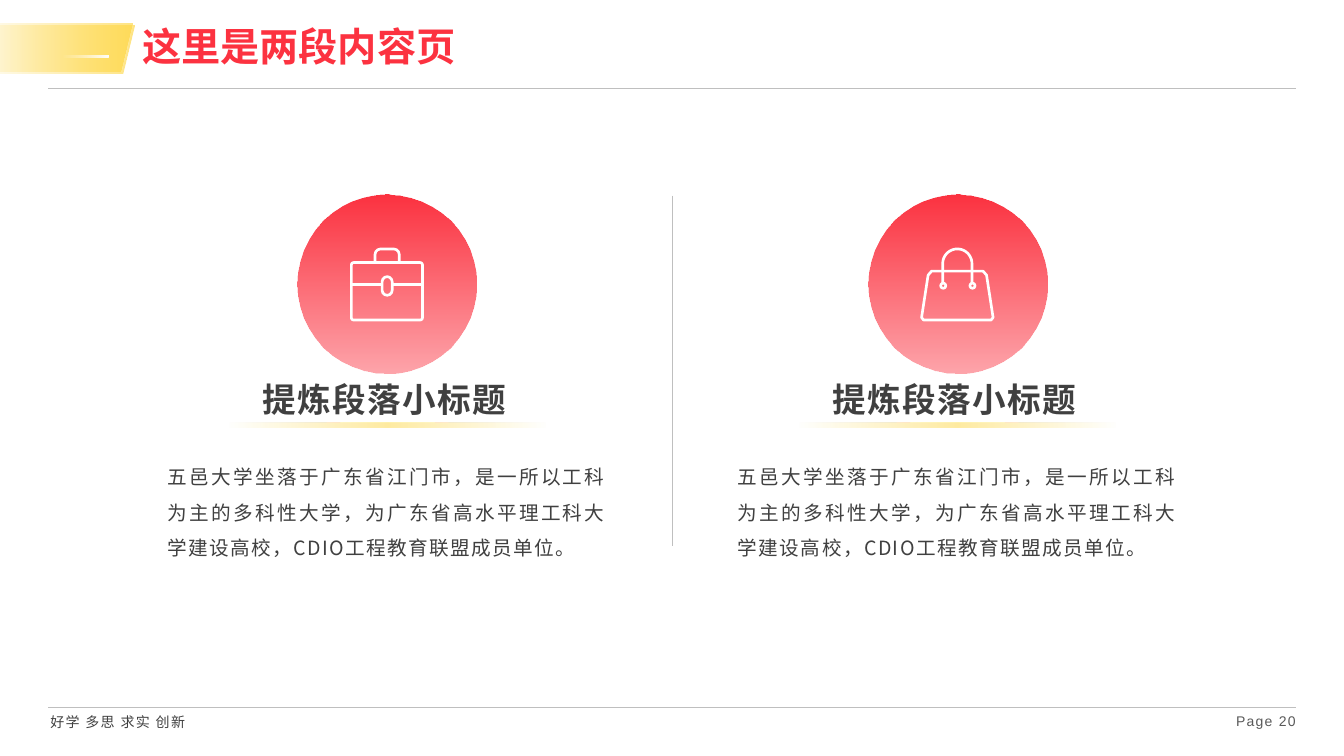
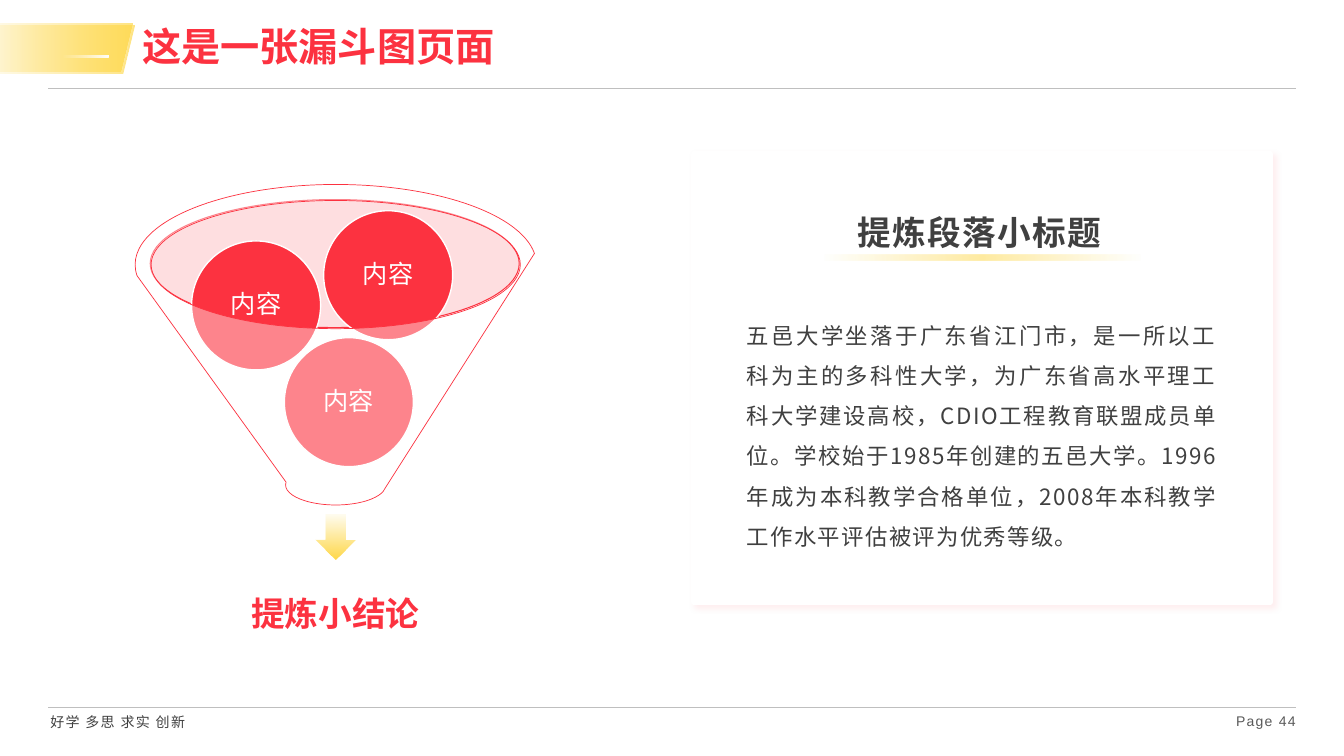
import math
from pptx import Presentation
from pptx import util as u
from pptx.dml.color import RGBColor
from pptx.enum import shapes, text
from pptx.oxml import parse_xml
from pptx.oxml.ns import nsdecls, qn

RED = RGBColor(0xFC, 0x32, 0x40)
PINK = RGBColor(0xFE, 0xAD, 0xB3)
BLUSH = RGBColor(0xFE, 0xD6, 0xD9)
YELLOW = RGBColor(0xFF, 0xD8, 0x47)
WHITE = RGBColor(0xFF, 0xFF, 0xFF)
DARK = RGBColor(0x40, 0x40, 0x40)
GREY = RGBColor(0x59, 0x59, 0x59)
RULE = RGBColor(0xBF, 0xBF, 0xBF)
CJK = "Noto Sans CJK SC"
KIND = shapes.MSO_SHAPE
ALIGN = text.PP_ALIGN

prs = Presentation()
prs.slide_width, prs.slide_height = u.Inches(13.33), u.Inches(7.5)
COLUMNS = 133.3
CELL = prs.slide_width / COLUMNS
STROKE = 1.9


def add(s, kind, box, stops=(), angle=0, line=None, width=1, adjust=None):
    box = [u.Emu(round(v * CELL)) for v in box]
    if kind is None:
        return s.shapes.add_textbox(*box)
    sp = s.shapes.add_shape(kind, *box)
    sp.shadow.inherit = False
    if adjust is not None:
        sp.adjustments[0] = adjust
    sp.fill.background()
    if stops:
        colors = [f'<a:srgbClr val="{c}"><a:alpha val="{a * 1000}"/></a:srgbClr>'
                  for _, c, a in stops]
        if len(stops) == 1:
            xml = f'<a:solidFill {nsdecls("a")}>{colors[0]}</a:solidFill>'
        else:
            gs = "".join(f'<a:gs pos="{stop[0] * 1000}">{c}</a:gs>'
                         for stop, c in zip(stops, colors))
            xml = (f'<a:gradFill {nsdecls("a")} rotWithShape="1"><a:gsLst>{gs}</a:gsLst>'
                   f'<a:lin ang="{angle * 60000}" scaled="0"/></a:gradFill>')
        spPr = sp._element.spPr
        spPr.replace(spPr.find(qn("a:noFill")), parse_xml(xml))
    if line is None:
        sp.line.fill.background()
    else:
        sp.line.color.rgb = line
        sp.line.width = u.Pt(width)
    return sp


def write(sp, words, size=14, color=DARK, font=CJK, bold=False, align=ALIGN.JUSTIFY,
          spacing=1, after=0, tracking=0, inset=None, anchor=text.MSO_ANCHOR.TOP):
    tf = sp.text_frame
    tf.word_wrap = True
    tf.vertical_anchor = anchor
    if inset is not None:
        tf.margin_left, tf.margin_top, tf.margin_right, tf.margin_bottom = map(u.Inches, inset)
    p = tf.paragraphs[0]
    p.alignment = align
    p.line_spacing = spacing
    p.space_after = u.Pt(after)
    r = p.add_run()
    r.text = words
    r.font.size, r.font.bold, r.font.name = u.Pt(size), bold, font
    r.font.color.rgb = color
    rPr = r._r.get_or_add_rPr()
    rPr.append(parse_xml(f'<a:ea {nsdecls("a")} typeface="{CJK}"/>'))
    if tracking:
        rPr.set("spc", str(round(tracking * 100)))


MIDDLE = text.MSO_ANCHOR.MIDDLE
layout = prs.slide_layouts[5]
pages = []
for title, number in (("这里是两段内容页", 20), ("这是一张漏斗图页面", 44)):
    s = prs.slides.add_slide(layout)
    sp = s.shapes.title
    sp.left, sp.top, sp.width, sp.height = [u.Emu(round(v * CELL)) for v in (13.1, 2.4, 89.9, 4.8)]
    write(sp, title, size=28, color=RED, bold=True, align=ALIGN.LEFT, spacing=0.9, anchor=MIDDLE)
    write(add(s, None, (118.5, 70.2, 10, 3.2)), f"Page {number}", size=10, color=GREY,
          font="Arial", align=ALIGN.RIGHT, tracking=0.9, inset=(0.1, 0.05, 0, 0.05))
    pages.append(s)
columns_page, funnel_page = pages

shared = []
for box, color, alpha in (((-3.4, 2.5, 16.7, 4.8), YELLOW, 68),
                          ((-3.6, 2.3, 16.7, 4.8), YELLOW, 68),
                          ((6.2, 5.5, 4.6, 0.2), WHITE, 100)):
    shared.append(add(columns_page, KIND.PARALLELOGRAM, box, [(0, color, 0), (100, color, alpha)]))
sp = add(columns_page, None, (4, 70.3, 21.5, 2.7))
write(sp, "好学 多思 求实 创新", size=10, font="Arial", tracking=1)
shared.append(sp)

for x in (29.5, 86.1):
    add(columns_page, KIND.OVAL, (x, 19.3, 17.8, 17.8), [(0, RED, 100), (100, RED, 44)], 90)

for x1, y1, x2, y2, color, width in ((4.8, 8.8, 128.5, 8.8, RULE, 0.5),
                                     (4.8, 70.2, 128.5, 70.2, RULE, 0.5),
                                     (66.7, 19.4, 66.7, 54.2, RULE, 0.75),
                                     (34.85, 28.25, 37.9, 28.25, WHITE, STROKE),
                                     (38.9, 28.25, 41.9, 28.25, WHITE, STROKE)):
    ends = [u.Emu(round(v * CELL)) for v in (x1, y1, x2, y2)]
    cn = columns_page.shapes.add_connector(shapes.MSO_CONNECTOR.STRAIGHT, *ends)
    cn.line.color.rgb = color
    cn.line.width = u.Pt(width)
    cn._element.spPr.append(parse_xml(f'<a:effectLst {nsdecls("a")}/>'))
    if x1 == 4.8:
        shared.append(cn)
for sp in shared:
    layout.shapes._spTree.append(sp._element)

for kind, box, adjust in ((KIND.ROUNDED_RECTANGLE, (34.85, 26.05, 7.05, 5.7), 0.04),
                          (KIND.ROUND_2_SAME_RECTANGLE, (37.2, 24.7, 2.4, 1.35), 0.4),
                          (KIND.ROUNDED_RECTANGLE, (37.9, 27.45, 1, 1.85), 0.5),
                          (KIND.OVAL, (93.3, 28.1, 0.5, 0.5), None),
                          (KIND.OVAL, (96.2, 28.1, 0.5, 0.5), None)):
    add(columns_page, kind, box, line=WHITE, width=STROKE, adjust=adjust)

bag = [(92.4, 26.9), (97.5, 26.9), (97.85, 27.3), (98.5, 31.5), (98.3, 31.75),
       (91.6, 31.75), (91.4, 31.5), (92.05, 27.3)]
arch = [(94.95 - 1.45 * math.cos(math.pi * i / 24), 26.15 - 1.45 * math.sin(math.pi * i / 24))
        for i in range(25)]
handle = [(93.5, 28.1)] + arch + [(96.4, 28.1)]
for points, close in ((bag, True), (handle, False)):
    points = [(x * CELL, y * CELL) for x, y in points]
    fb = columns_page.shapes.build_freeform(*points[0], scale=1.0)
    fb.add_line_segments(points[1:], close=close)
    sp = fb.convert_to_shape()
    sp.shadow.inherit = False
    sp.fill.background()
    sp.line.color.rgb = WHITE
    sp.line.width = u.Pt(STROKE)

s = funnel_page
add(s, KIND.OVAL, (14.9, 19.8, 36.6, 12.7), [(0, PINK, 40)], line=RED, width=0.75)
add(s, KIND.DOWN_ARROW, (31.3, 51, 4, 4.5), [(0, YELLOW, 8), (100, YELLOW, 100)], 90)
write(add(s, None, (16.2, 56.8, 34.1, 8.5)), "提炼小结论", size=24, color=RED, bold=True,
      align=ALIGN.CENTER, spacing=0.9, after=8.4, inset=(0.19,) * 4, anchor=MIDDLE)
for x, y in ((28.2, 33.5), (19, 23.9), (32.1, 20.9)):
    sp = add(s, KIND.OVAL, (x, y, 12.8, 12.8), [(0, RED, 100)], line=WHITE)
    write(sp, "内容", size=18, color=WHITE, align=ALIGN.CENTER, spacing=0.9, after=6.3,
          inset=(0.03,) * 4, anchor=MIDDLE)
add(s, KIND.FUNNEL, (13.4, 18.3, 39.8, 31.8), [(0, WHITE, 40)], line=RED, width=0.5)
card = add(s, KIND.RECTANGLE, (68.8, 15.3, 57.2, 44.4), [(0, WHITE, 100)], line=WHITE, width=4)
card._element.spPr.find(qn("a:effectLst")).append(parse_xml(
    f'<a:outerShdw {nsdecls("a")} blurRad="{u.Pt(4)}" dist="{u.Pt(3)}" dir="{45 * 60000}" '
    f'algn="tl" rotWithShape="0"><a:srgbClr val="{BLUSH}"><a:alpha val="40000"/></a:srgbClr>'
    '</a:outerShdw>'))

INTRO = "五邑大学坐落于广东省江门市，是一所以工科为主的多科性大学，为广东省高水平理工科大学建设高校，CDIO工程教育联盟成员单位。"
HISTORY = "学校始于1985年创建的五邑大学。1996年成为本科教学合格单位，2008年本科教学工作水平评估被评为优秀等级。"
for s, x, y, body, box, size in (
        (columns_page, 25.1, 37.1, INTRO, (15.6, 44.5, 45.5, 11.2), 14),
        (columns_page, 81.6, 37.1, INTRO, (72.2, 44.5, 45.5, 11.2), 14),
        (funnel_page, 84.1, 20.5, INTRO + HISTORY, (73.1, 30.1, 48.6, 24.8), 16)):
    write(add(s, None, (x, y, 26.7, 5)), "提炼段落小标题", size=24, bold=True, tracking=1)
    add(s, KIND.PARALLELOGRAM, (x - 2.4, y + 4.8, 31.5, 0.5),
        [(0, YELLOW, 0), (50, YELLOW, 51), (100, YELLOW, 0)])
    write(add(s, None, box), body, size=size, spacing=1.5, tracking=1)

prs.save("out.pptx")
